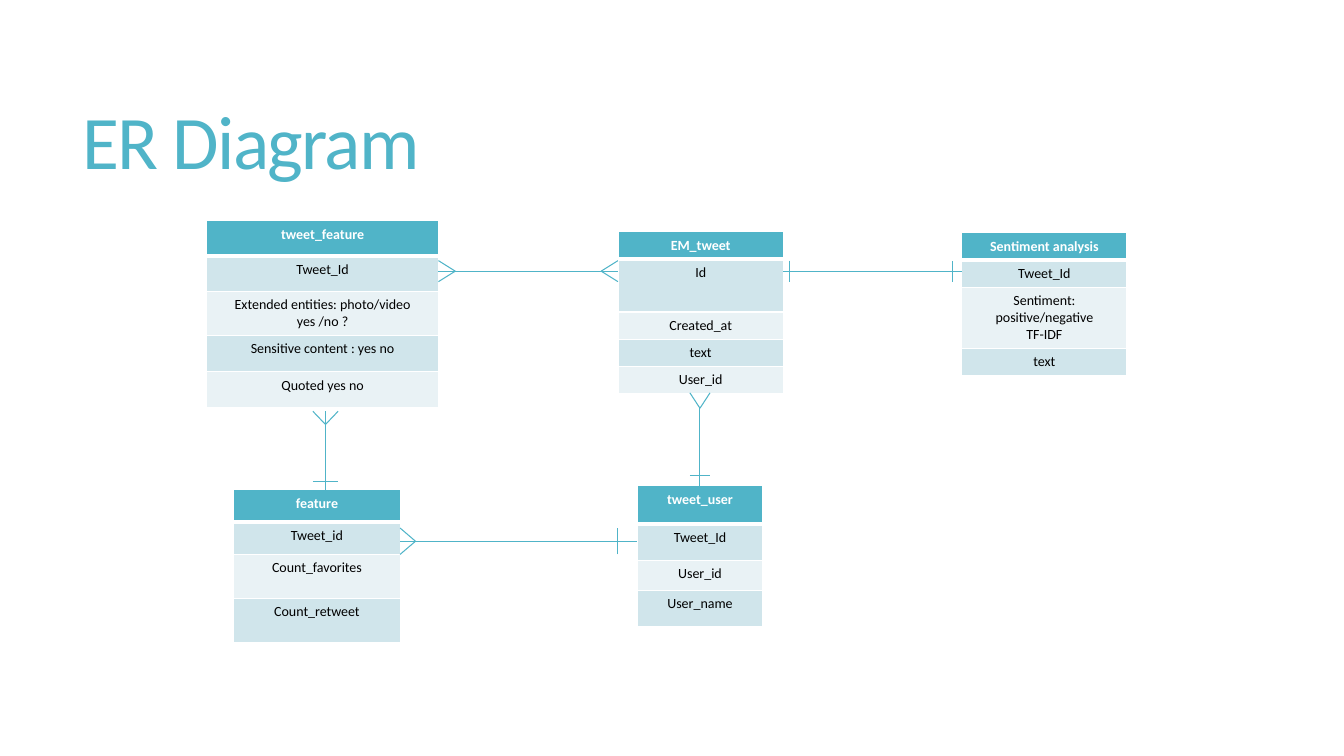
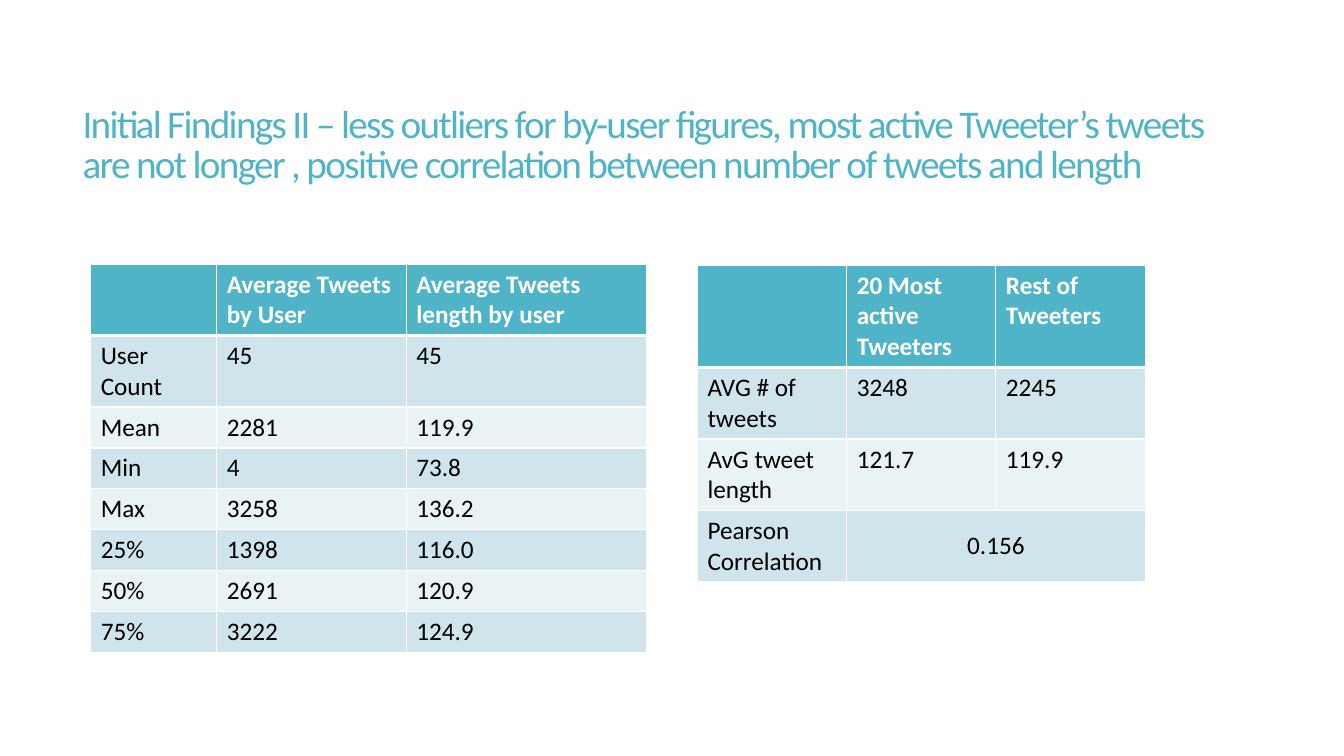
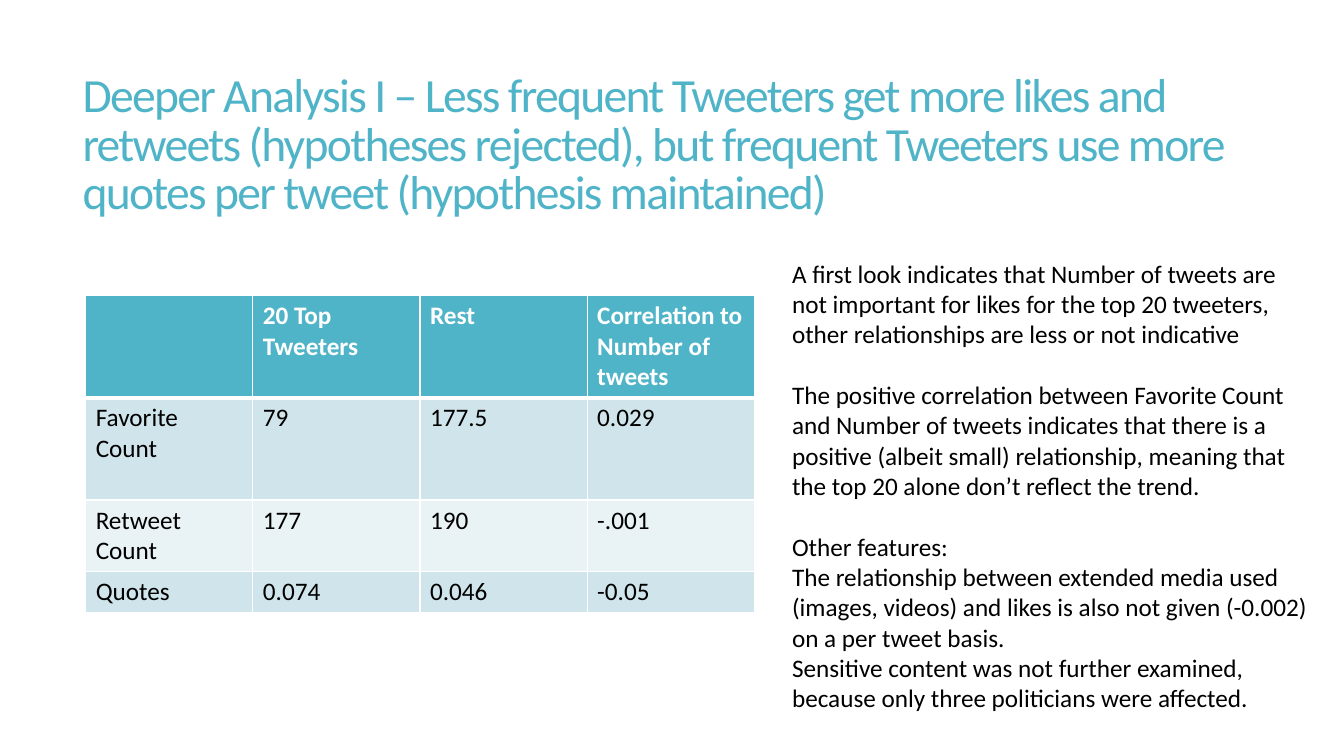
from dataclasses import dataclass

import pptx
import pptx.util
import pptx.dml.color
import pptx.enum.shapes
import pptx.enum.text
import pptx.oxml.ns
from lxml import etree

Pt = pptx.util.Pt
RGB = pptx.dml.color.RGBColor.from_string
ALIGN = pptx.enum.text.PP_ALIGN
ANCHOR = pptx.enum.text.MSO_ANCHOR
qn = pptx.oxml.ns.qn


@dataclass(frozen=True)
class Theme:
    font: str = "Calibri"
    accent: str = "50B4C8"
    white: str = "FFFFFF"
    text: str = "000000"
    bands: tuple = ("D0E5EB", "E9F2F5")
    body_size: float = 18
    entity_size: float = 10
    title_spacing: float = -1.2
    border: float = 1
    header_rule: float = 3
    relation_line: float = 0.75


THEME = Theme()
SLIDE_SIZE = (960, 540)
TITLE_BOX = (51.84, 39.6, 848.16, 130.32)

# Row heights for one, two and three lines of body text
ONE, TWO, THREE = 29.2, 51.1, 73.1

# Slide 1: entities and their relations
ER_TITLE = ("ER Diagram", 54)
# left, top, width, fields, row heights
ENTITIES = [
    (441.5, 165.6, 118, ["EM_tweet", "Id", "Created_at", "text", "User_id"],
     [19.4, 37.9, 19.4, 19.4, 19.4]),
    (687, 166.3, 118,
     ["Sentiment analysis", "Tweet_Id", "Sentiment: positive/negative\nTF-IDF", "text"],
     [19.4, 19.4, 43.8, 19.4]),
    (455, 347, 90, ["tweet_user", "Tweet_Id", "User_id", "User_name"],
     [27.4, 25.9, 21.6, 25.9]),
    (147.6, 157.7, 165.6,
     ["tweet_feature", "Tweet_Id", "Extended entities: photo/video yes /no ?",
      "Sensitive content : yes no", "Quoted yes no"],
     [25.2, 25.2, 31.6, 25.9, 25.9]),
    (167, 349.9, 118.8, ["feature", "Tweet_id", "Count_favorites", "Count_retweet"],
     [23, 23, 31.6, 31.6]),
]
# start, end, half width of the marks, mark at start, mark at end;
# ("one", distance of bar) or ("many", distance of open side, distance of tip)
RELATIONS = [
    ((313.2, 193.7), (441.4, 193.7), 7.5, ("many", 0, 12), ("many", 0, 12)),
    ((559.4, 193.7), (686.9, 193.7), 7.5, ("one", 4.4), ("one", 6.5)),
    ((500, 291.6), (500, 347), 7.2, ("many", -11, 0), ("one", 7)),
    ((232.5, 293.8), (232.5, 349.9), 9, ("many", 0, 9.4), ("one", 5.7)),
    ((455, 386.6), (285.8, 386.6), 9.4, ("one", 13.7), ("many", 0, 11)),
]

# Slide 2: figures by user
FINDINGS_TITLE = (
    "Initial Findings II – less outliers for by-user figures, most active Tweeter’s tweets "
    "are not longer , positive correlation between number of tweets and length", 28)
USER_FIGURES = [
    ("", "Average Tweets\nby User", "Average Tweets\nlength by user"),
    ("User Count", "45", "45"),
    ("Mean", "2281", "119.9"),
    ("Min", "4", "73.8"),
    ("Max", "3258", "136.2"),
    ("25%", "1398", "116.0"),
    ("50%", "2691", "120.9"),
    ("75%", "3222", "124.9"),
]
# None continues the cell on its left
ACTIVITY_FIGURES = [
    ("", "20 Most active Tweeters", "Rest of Tweeters"),
    ("AVG # of tweets", "3248", "2245"),
    ("AvG tweet length", "121.7", "119.9"),
    ("Pearson Correlation", "0.156", None),
]

# Slide 3: likes, retweets and quotes
ANALYSIS_TITLE = (
    "Deeper Analysis I – Less frequent Tweeters get more likes and retweets (hypotheses "
    "rejected), but frequent Tweeters use more quotes per tweet (hypothesis maintained)", 34)
REACTION_FIGURES = [
    ("", "20 Top Tweeters", "Rest", "Correlation to Number of tweets"),
    ("Favorite Count", "79", "177.5", "0.029"),
    ("Retweet Count", "177", "190", "-.001"),
    ("Quotes", "0.074", "0.046", "-0.05"),
]
# text, space after
REMARKS = [
    ("A first look indicates that Number of tweets are not important for likes for the "
     "top 20 tweeters, other relationships are less or not indicative", 22),
    ("The positive correlation between Favorite Count and Number of tweets indicates that "
     "there is a positive (albeit small) relationship, meaning that the top 20 alone don’t "
     "reflect the trend.", 22),
    ("Other features:", 0),
    ("The relationship between extended media used (images, videos) and likes is also not "
     "given (-0.002) on a per tweet basis.", 0),
    ("Sensitive content was not further examined, because only three politicians were "
     "affected.", 0),
]


# Shared parts
def set_font(paragraph, size, color, bold=False):
    font = paragraph.font
    font.name, font.size, font.bold = THEME.font, Pt(size), bold
    font.color.rgb = RGB(color)


def add_text(slide, box, paragraphs, size, color):
    frame = slide.shapes.add_textbox(*map(Pt, box)).text_frame
    frame.word_wrap = True
    frame.text = "\n".join(paragraphs)
    for paragraph in frame.paragraphs:
        set_font(paragraph, size, color)
    return frame


def add_titled_slide(deck, title):
    slide = deck.slides.add_slide(deck.slide_layouts[6])
    wording, size = title
    frame = add_text(slide, TITLE_BOX, [wording], size, THEME.accent)
    frame.vertical_anchor = ANCHOR.MIDDLE
    heading = frame.paragraphs[0]
    heading.line_spacing = 0.85
    spacing = str(round(THEME.title_spacing * 100))
    heading.runs[0]._r.get_or_add_rPr().set("spc", spacing)
    return slide


def set_borders(cell, top, bottom):
    properties = cell._tc.get_or_add_tcPr()
    widths = {"a:lnL": THEME.border, "a:lnR": THEME.border, "a:lnT": top, "a:lnB": bottom}
    for tag, width in widths.items():
        border = etree.SubElement(properties, qn(tag), w=str(Pt(width)))
        fill = etree.SubElement(border, qn("a:solidFill"))
        etree.SubElement(fill, qn("a:srgbClr"), val=THEME.white)


def add_banded_table(slide, left, top, widths, heights, rows, size, align=ALIGN.LEFT):
    table = slide.shapes.add_table(
        len(rows), len(widths), Pt(left), Pt(top), Pt(sum(widths)), Pt(sum(heights))).table
    for column, width in zip(table.columns, widths):
        column.width = Pt(width)
    for r, (values, height) in enumerate(zip(rows, heights)):
        table.rows[r].height = Pt(height)
        header = r == 0
        for c, value in enumerate(values):
            cell = table.cell(r, c)
            set_borders(cell, THEME.header_rule if r == 1 else THEME.border,
                        THEME.header_rule if header else THEME.border)
            cell.fill.solid()
            cell.fill.fore_color.rgb = RGB(THEME.accent if header else THEME.bands[(r - 1) % 2])
            if value is None:
                joined = table.cell(r, c - 1)
                joined.merge(cell)
                joined.vertical_anchor = ANCHOR.MIDDLE
                joined.text_frame.paragraphs[0].alignment = ALIGN.CENTER
                continue
            cell.text_frame.text = value
            for paragraph in cell.text_frame.paragraphs:
                paragraph.alignment = align
                set_font(paragraph, size, THEME.white if header else THEME.text, header)


# Relation lines
def add_line(slide, start, end):
    line = slide.shapes.add_connector(
        pptx.enum.shapes.MSO_CONNECTOR.STRAIGHT, *map(Pt, (*start, *end)))
    line.line.color.rgb = RGB(THEME.accent)
    line.line.width = Pt(THEME.relation_line)
    etree.SubElement(line._element.spPr, qn("a:effectLst"))


def add_mark(slide, end, other, half, mark):
    length = abs(other[0] - end[0]) + abs(other[1] - end[1])
    ux, uy = ((b - a) / length for a, b in zip(end, other))

    def point(along, across):
        return (end[0] + ux * along - uy * across, end[1] + uy * along + ux * across)

    kind, *distances = mark
    if kind == "one":
        add_line(slide, point(distances[0], -half), point(distances[0], half))
    else:
        base, tip = distances
        for side in (-half, half):
            add_line(slide, point(base, side), point(tip, 0))


# Slides
def build_er_diagram(deck):
    slide = add_titled_slide(deck, ER_TITLE)
    for left, top, width, fields, heights in ENTITIES:
        add_banded_table(slide, left, top, [width], heights, [[field] for field in fields],
                         THEME.entity_size, ALIGN.CENTER)
    for start, end, half, start_mark, end_mark in RELATIONS:
        add_line(slide, start, end)
        add_mark(slide, start, end, half, start_mark)
        add_mark(slide, end, start, half, end_mark)


def build_findings(deck):
    slide = add_titled_slide(deck, FINDINGS_TITLE)
    add_banded_table(slide, 64.8, 188.6, [90, 135.4, 171.4], [TWO] * 2 + [ONE] * 6,
                     USER_FIGURES, THEME.body_size)
    add_banded_table(slide, 498.2, 189.4, [106.6] * 3, [THREE] + [TWO] * 3,
                     ACTIVITY_FIGURES, THEME.body_size)


def build_analysis(deck):
    slide = add_titled_slide(deck, ANALYSIS_TITLE)
    add_banded_table(slide, 61.2, 211, [119.4] * 4, [THREE, THREE, TWO, ONE],
                     REACTION_FIGURES, THEME.body_size)
    remarks = add_text(slide, (558.7, 180.7, 388.8, 334), [text for text, _ in REMARKS],
                       THEME.body_size, THEME.text)
    remarks.auto_size = pptx.enum.text.MSO_AUTO_SIZE.SHAPE_TO_FIT_TEXT
    for paragraph, (_, gap) in zip(remarks.paragraphs, REMARKS):
        paragraph.space_after = Pt(gap)


def main():
    deck = pptx.Presentation()
    deck.slide_width, deck.slide_height = map(Pt, SLIDE_SIZE)
    for build in (build_er_diagram, build_findings, build_analysis):
        build(deck)
    deck.save("out.pptx")


if __name__ == "__main__":
    main()
